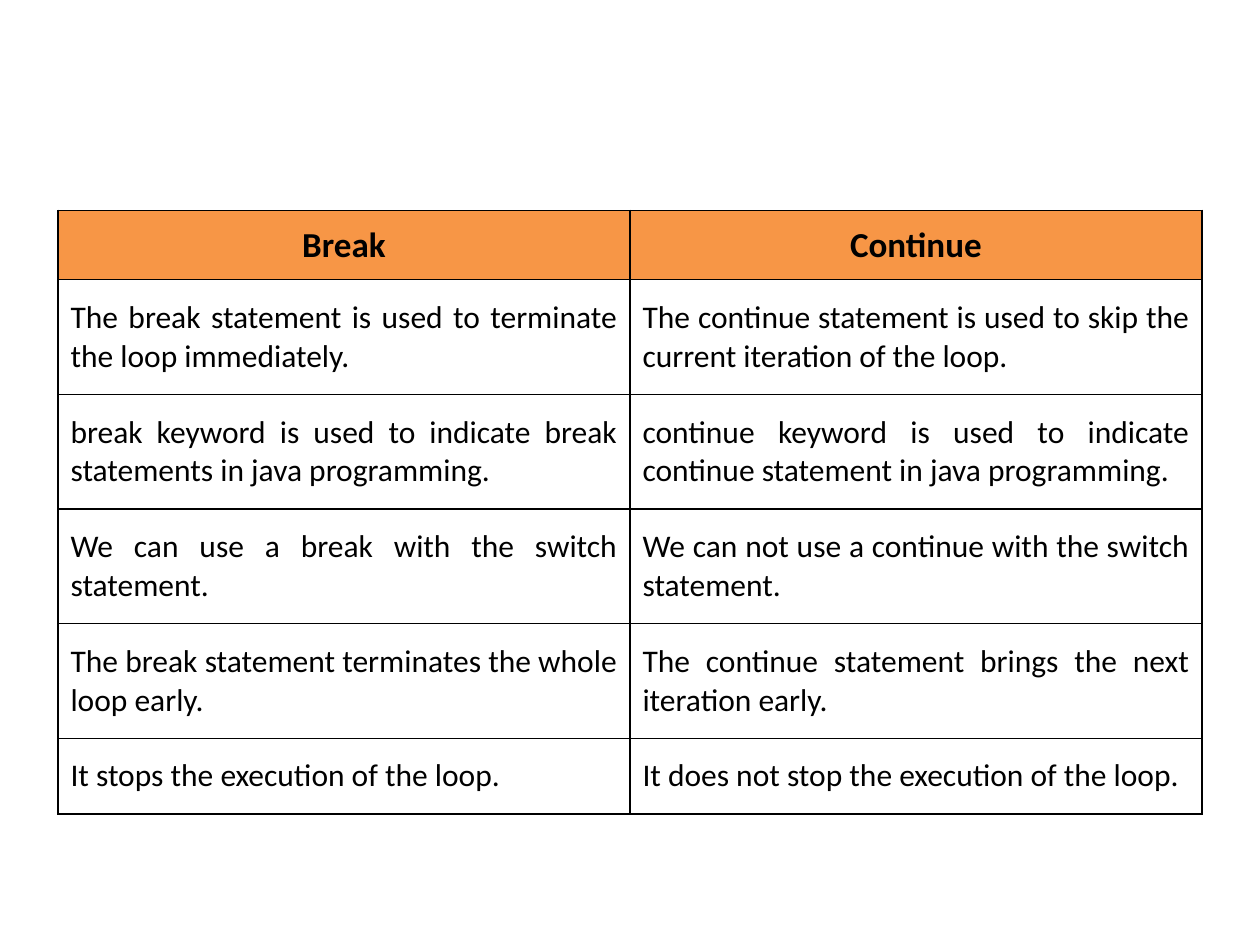
from typing import NamedTuple

from lxml import etree
from pptx import Presentation
from pptx.dml.color import RGBColor
from pptx.enum.text import MSO_ANCHOR, PP_ALIGN
from pptx.oxml.ns import qn
from pptx.util import Inches, Pt

CENTER, JUSTIFY = PP_ALIGN.CENTER, PP_ALIGN.JUSTIFY
MIDDLE = MSO_ANCHOR.MIDDLE
BLACK = RGBColor(0x00, 0x00, 0x00)
ORANGE = RGBColor(0xF7, 0x96, 0x46)
FONT = "Calibri"
LEFT, TOP, COL_W = 0.46, 1.67, 4.54


class Row(NamedTuple):
    height: float
    break_text: str
    continue_text: str


HEADER = Row(0.55, "Break", "Continue")
BODY = [
    Row(0.91, "The break statement is used to terminate the loop immediately.",
        "The continue statement is used to skip the current iteration of the loop."),
    Row(0.91, "break keyword is used to indicate break statements in java programming.",
        "continue keyword is used to indicate continue statement in java programming."),
    Row(0.91, "We can use a break with the switch statement.",
        "We can not use a continue with the switch statement."),
    Row(0.91, "The break statement terminates the whole loop early.",
        "The continue statement brings the next iteration early."),
    Row(0.6, "It stops the execution of the loop.",
        "It does not stop the execution of the loop."),
]


def write_text(tf, text: str, *, size: int, bold: bool = False, align=JUSTIFY) -> None:
    p = tf.paragraphs[0]
    p.alignment = align
    r = p.add_run()
    r.text = text
    r.font.name = FONT
    r.font.size = Pt(size)
    r.font.bold = bold
    r.font.color.rgb = BLACK


def add_borders(cell, color: RGBColor = BLACK, width: float = 1) -> None:
    tc_pr = cell._tc.get_or_add_tcPr()
    for side in ("a:lnL", "a:lnR", "a:lnT", "a:lnB"):
        ln = etree.SubElement(tc_pr, qn(side), w=str(Pt(width)))
        fill = etree.SubElement(ln, qn("a:solidFill"))
        etree.SubElement(fill, qn("a:srgbClr"), val=str(color))


def format_cell(cell, text: str, is_header: bool) -> None:
    cell.vertical_anchor = MIDDLE
    cell.margin_left = cell.margin_right = Inches(0.1)
    cell.margin_top = cell.margin_bottom = Inches(0.1 if is_header else 0.14)
    add_borders(cell)
    if is_header:
        cell.fill.solid()
        cell.fill.fore_color.rgb = ORANGE
        write_text(cell.text_frame, text, size=20, bold=True, align=CENTER)
    else:
        cell.fill.background()
        write_text(cell.text_frame, text, size=18)


def add_comparison(s, rows: list[Row]) -> None:
    height = sum(row.height for row in rows)
    table = s.shapes.add_table(len(rows), 2, Inches(LEFT), Inches(TOP),
                               Inches(2 * COL_W), Inches(height)).table
    for column in table.columns:
        column.width = Inches(COL_W)
    for i, row in enumerate(rows):
        table.rows[i].height = Inches(row.height)
        for j, text in enumerate((row.break_text, row.continue_text)):
            format_cell(table.cell(i, j), text, is_header=i == 0)


def main() -> None:
    prs = Presentation()
    prs.slide_width, prs.slide_height = Inches(10), Inches(7.5)
    s = prs.slides.add_slide(prs.slide_layouts[6])

    # Break and continue, side by side
    add_comparison(s, [HEADER, *BODY])

    prs.save("out.pptx")


if __name__ == "__main__":
    main()
